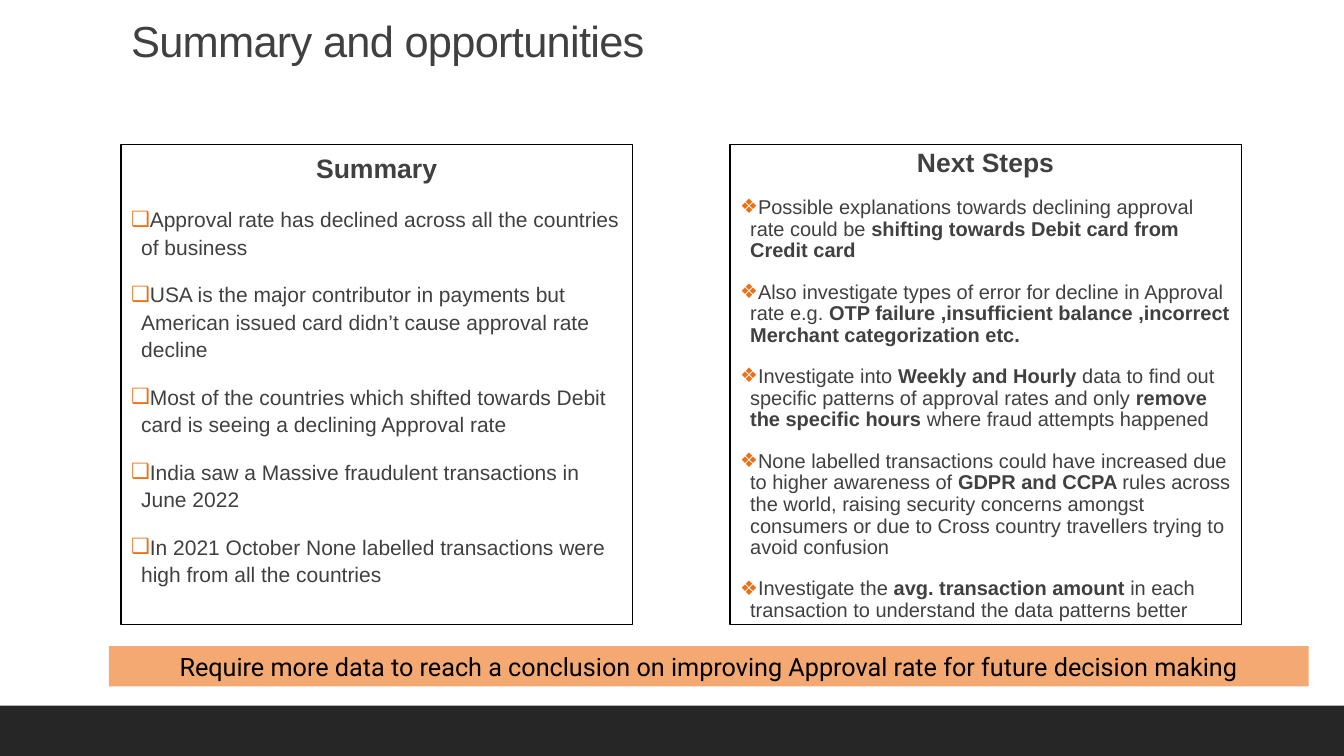
from dataclasses import dataclass

from lxml.etree import SubElement
from pptx import Presentation
from pptx.dml.color import RGBColor
from pptx.enum.shapes import MSO_SHAPE as Preset
from pptx.enum.text import MSO_ANCHOR as Anchor, MSO_AUTO_SIZE as Fit, PP_ALIGN as Align
from pptx.oxml.ns import qn
from pptx.util import Inches, Pt

DARK = RGBColor(0x26, 0x26, 0x26)
GREY = RGBColor(0x40, 0x40, 0x40)
BLACK = RGBColor(0, 0, 0)
ORANGE = RGBColor(0xEC, 0x70, 0x16)
PEACH = RGBColor(0xF4, 0xA9, 0x73)


@dataclass
class Panel:
    left: float
    head: str
    head_size: float
    size: float
    space: float
    mark: str
    items: list[str]  # ** switches bold on and off


PANELS = [
    Panel(1.2, "Summary", 19, 15, 1.1, "❑", [
        "Approval rate has declined across all the countries of business",
        "USA is the major contributor in payments but American issued card "
        "didn’t cause approval rate decline",
        "Most of the countries which shifted towards Debit card is seeing a "
        "declining Approval rate",
        "India saw a Massive fraudulent transactions in June 2022",
        "In 2021 October None labelled transactions were high from all the countries",
    ]),
    Panel(7.24, "Next Steps", 18.9, 14.3, 0.9, "❖", [
        "Possible explanations towards declining approval rate could be "
        "**shifting towards Debit card from Credit card**",
        "Also investigate types of error for decline in Approval rate e.g. "
        "**OTP failure ,insufficient balance ,incorrect Merchant categorization etc.**",
        "Investigate into **Weekly and Hourly **data to find out specific patterns "
        "of approval rates and only **remove the specific hours **where fraud "
        "attempts happened",
        "None labelled transactions could have increased due to higher awareness of "
        "**GDPR and CCPA **rules across the world, raising security concerns amongst "
        "consumers or due to Cross country travellers trying to avoid confusion",
        "Investigate the **avg. transaction amount **in each transaction to "
        "understand the data patterns better",
    ]),
]


def place(shape, left: float, top: float, width: float, height: float) -> None:
    shape.left, shape.top = Inches(left), Inches(top)
    shape.width, shape.height = Inches(width), Inches(height)


def set_mark(para, mark: str) -> None:
    """Give the paragraph a hanging bullet, or none if mark is empty."""
    props = para._p.get_or_add_pPr()
    indent = Inches(0.1) if mark else 0
    props.set("marL", str(indent))
    props.set("indent", str(-indent))
    if mark:
        color = SubElement(props, qn("a:buClr"))
        SubElement(color, qn("a:srgbClr"), val=str(ORANGE))
        SubElement(props, qn("a:buFont"), typeface="Arial")
        SubElement(props, qn("a:buChar"), char=mark)
    else:
        SubElement(props, qn("a:buNone"))


def write(para, text: str, *, size: float, font: str = "Arial",
          color: RGBColor = GREY, bold: bool = False, align: Align = Align.LEFT,
          space: float = 1.0, before: float = 0, after: float = 0,
          mark: str = "", track: float = 0) -> None:
    set_mark(para, mark)
    para.alignment = align
    para.line_spacing = space
    para.space_before, para.space_after = Pt(before), Pt(after)
    for i, part in enumerate(text.split("**")):
        if not part:
            continue
        run = para.add_run()
        run.text = part
        run.font.name, run.font.size = font, Pt(size)
        run.font.bold = bold or i % 2 == 1
        run.font.color.rgb = color
        if track:
            run._r.get_or_add_rPr().set("spc", str(int(track * 100)))


def set_frame(shape, anchor: Anchor):
    frame = shape.text_frame
    frame.word_wrap = True
    frame.auto_size = Fit.NONE
    frame.vertical_anchor = anchor
    return frame


def add_bar(slide, box: tuple[float, float, float, float], color: RGBColor):
    bar = slide.shapes.add_shape(Preset.RECTANGLE, *map(Inches, box))
    bar.shadow.inherit = False
    bar.fill.solid()
    bar.fill.fore_color.rgb = color
    bar.line.fill.background()
    return bar


def fill_panel(body, panel: Panel) -> None:
    place(body, panel.left, 1.43, 5.07, 4.77)
    body.line.color.rgb = BLACK
    body.line.width = Pt(0.75)
    frame = set_frame(body, Anchor.TOP)
    write(frame.paragraphs[0], panel.head, size=panel.head_size, bold=True,
          align=Align.CENTER, space=panel.space, after=2)
    for item in panel.items:
        write(frame.add_paragraph(), item, size=panel.size, space=panel.space,
              before=12, after=2, mark=panel.mark)


def main() -> None:
    deck = Presentation()
    deck.slide_width, deck.slide_height = Inches(13.33), Inches(7.5)
    slide = deck.slides.add_slide(deck.slide_layouts.get_by_name("Two Content"))
    title, *bodies = slide.placeholders

    add_bar(slide, (0, 7, 13.33, 0.5), DARK)
    place(title, 1.2, 0.15, 11, 0.93)
    write(set_frame(title, Anchor.TOP).paragraphs[0], "Summary and opportunities",
          size=31, space=0.9, track=-0.5)
    for body, panel in zip(bodies, PANELS):
        fill_panel(body, panel)
    note = add_bar(slide, (1.08, 6.41, 11.9, 0.4), PEACH)
    write(set_frame(note, Anchor.MIDDLE).paragraphs[0],
          "Require more data to reach a conclusion on improving Approval rate "
          "for future decision making",
          size=18, font="Roboto", color=BLACK, align=Align.CENTER)
    deck.save("out.pptx")


if __name__ == "__main__":
    main()
